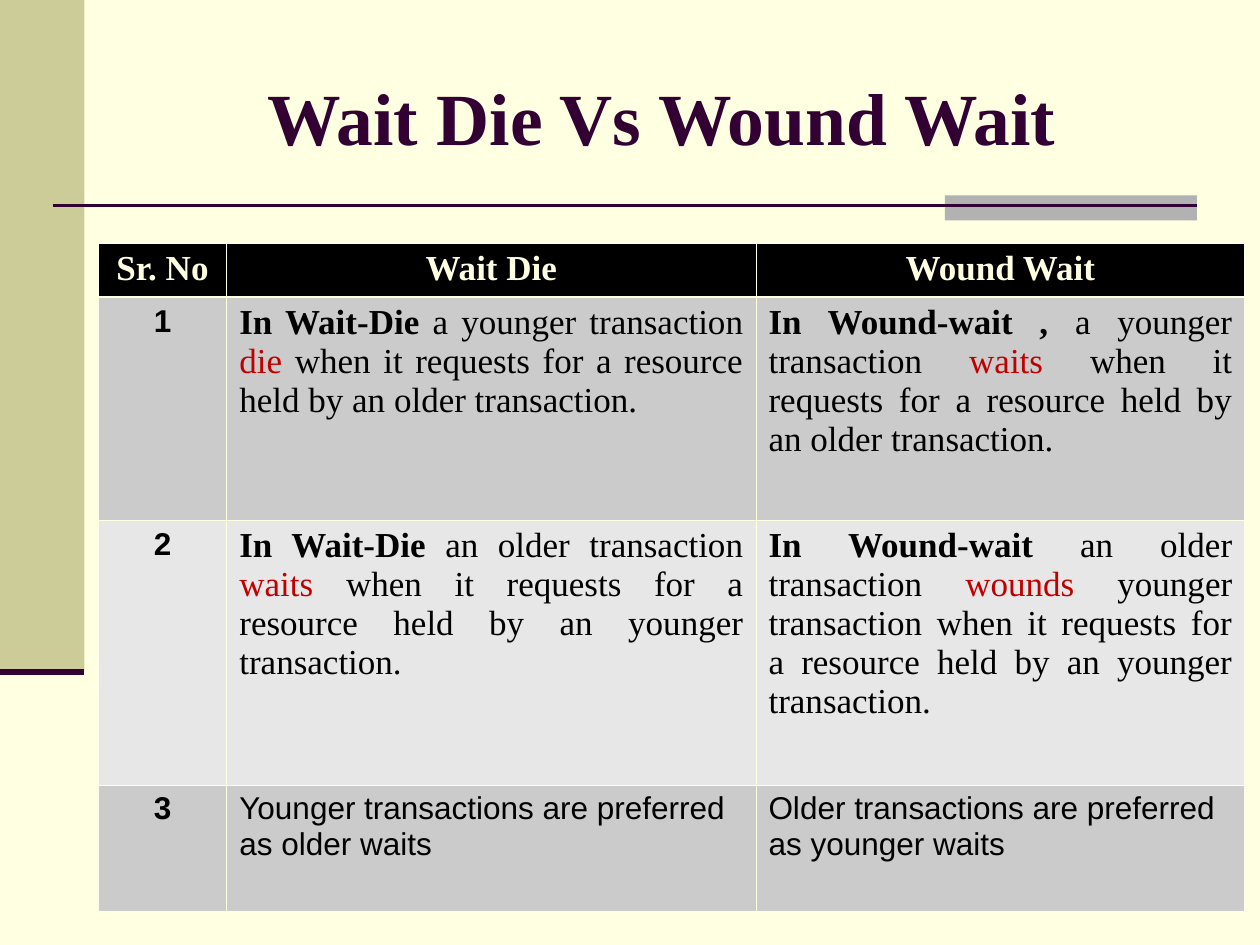
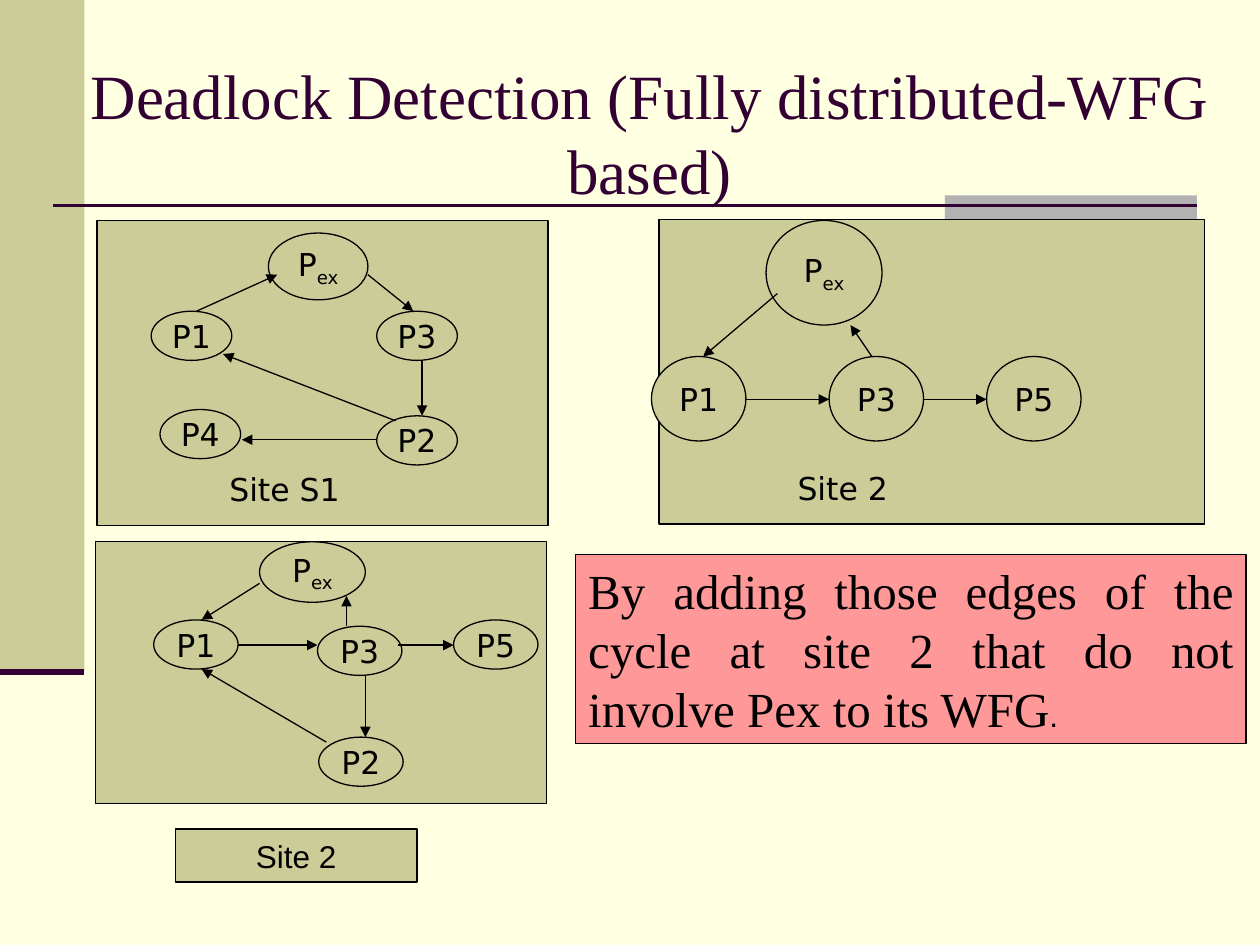
import lxml.etree
import pptx
import pptx.dml.color
import pptx.enum.shapes
import pptx.enum.text
import pptx.oxml.ns
import pptx.util

RGBColor = pptx.dml.color.RGBColor
CREAM = RGBColor(0xFF, 0xFF, 0xE1)
KHAKI = RGBColor(0xCC, 0xCC, 0x99)
SILVER = RGBColor(0xB2, 0xB2, 0xB2)
PLUM = RGBColor(0x33, 0x00, 0x33)
BLACK = RGBColor(0x00, 0x00, 0x00)
RED = RGBColor(0xC0, 0x00, 0x00)
PINK = RGBColor(0xFF, 0x99, 0x99)
DARK_ROW = RGBColor(0xCB, 0xCB, 0xCB)
LIGHT_ROW = RGBColor(0xE7, 0xE7, 0xE7)

SHAPE = pptx.enum.shapes.MSO_SHAPE
ALIGN = pptx.enum.text.PP_ALIGN
ANCHOR = pptx.enum.text.MSO_ANCHOR
qn = pptx.oxml.ns.qn

SERIF = {"name": "Times New Roman", "size": pptx.util.Pt(20), "bold": False, "color": BLACK}
SANS = {**SERIF, "name": "Arial", "size": pptx.util.Pt(18)}
NODE = {**SANS, "name": "DejaVu Sans"}
TITLE = {**SERIF, "color": PLUM}
HEADER = {**SERIF, "bold": True, "color": CREAM}
STRONG = {"bold": True}
ALERT = {"color": RED}
SUBSCRIPT = {"baseline": "-25000"}
PEX = [("P", {}), ("ex", SUBSCRIPT)]


def inches(values):
    return [pptx.util.Inches(value) for value in values]


def set_values(target, values):
    for name, value in values.items():
        setattr(target, name, value)


def set_font(font, values):
    for name, value in values.items():
        if name == "color":
            font.color.rgb = value
        elif name == "baseline":
            font._element.set(name, value)
        else:
            setattr(font, name, value)


def write(frame, spans, values, align):
    para = frame.paragraphs[0]
    para.alignment = align
    for text, changes in spans:
        span = para.add_run()
        span.text = text
        set_font(span.font, {**values, **changes})


def add_box(shapes, place, fill, kind=SHAPE.RECTANGLE, outline=BLACK):
    box = shapes.add_shape(kind, *inches(place))
    box.shadow.inherit = False
    box.fill.solid()
    box.fill.fore_color.rgb = fill
    if outline is None:
        box.line.fill.background()
    else:
        box.line.color.rgb = outline
        box.line.width = pptx.util.Pt(0.75)
    return box


def add_label_box(shapes, place, spans, values, kind=SHAPE.RECTANGLE):
    box = add_box(shapes, place, KHAKI, kind)
    set_values(box.text_frame, {"word_wrap": False, "vertical_anchor": ANCHOR.MIDDLE})
    write(box.text_frame, spans, values, ALIGN.CENTER)


def add_line(shapes, ends, color=BLACK, width=0.75, arrow=False):
    line = shapes.add_connector(pptx.enum.shapes.MSO_CONNECTOR.STRAIGHT, *inches(ends))
    line.line.color.rgb = color
    line.line.width = pptx.util.Pt(width)
    properties = line.element.spPr
    if arrow:
        lxml.etree.SubElement(properties.find(qn("a:ln")), qn("a:tailEnd"), type="triangle")
    lxml.etree.SubElement(properties, qn("a:effectLst"))
    return line


def style_master(deck, page):
    master = deck.slide_master
    master.background.fill.solid()
    master.background.fill.fore_color.rgb = CREAM
    parts = [
        add_box(page.shapes, (0, 0, 0.67, 5.33), KHAKI, outline=None),
        add_box(page.shapes, (7.5, 1.55, 2, 0.2), SILVER, outline=None),
        add_line(page.shapes, (0.42, 1.63, 9.5, 1.63), PLUM, 1.5),
        add_line(page.shapes, (0, 5.33, 0.67, 5.33), PLUM, 3.5),
    ]
    for index, part in enumerate(parts):
        part.element.xpath(".//p:cNvPr")[0].set("id", str(100 + index))
        master.shapes.element.insert(2 + index, part.element)


def set_title(page, text, place, size, bold=False):
    title = page.shapes.title
    set_values(title, dict(zip(("left", "top", "width", "height"), inches(place))))
    set_values(title.text_frame, {
        "word_wrap": True,
        "vertical_anchor": ANCHOR.MIDDLE,
        "auto_size": pptx.enum.text.MSO_AUTO_SIZE.NONE,
    })
    values = {**TITLE, "size": pptx.util.Pt(size), "bold": bold}
    write(title.text_frame, [(text, {})], values, ALIGN.CENTER)


def set_borders(cell, widths):
    properties = cell._tc.get_or_add_tcPr()
    for index, (side, width) in enumerate(widths.items()):
        border = lxml.etree.Element(qn("a:ln" + side), w=str(pptx.util.Pt(width)))
        fill = lxml.etree.SubElement(border, qn("a:solidFill"))
        lxml.etree.SubElement(fill, qn("a:srgbClr"), val=str(CREAM))
        properties.insert(index, border)


def add_comparison(page, rows):
    heights = (0.43, 1.77, 2.1, 1)
    widths = (1.02, 4.2, 3.88)
    fills = (BLACK, DARK_ROW, LIGHT_ROW, DARK_ROW)
    place = inches((0.78, 1.93, sum(widths), sum(heights)))
    table = page.shapes.add_table(len(rows), len(widths), *place).table
    for column, width in zip(table.columns, inches(widths)):
        column.width = width
    for number, (row, height) in enumerate(zip(rows, inches(heights))):
        table.rows[number].height = height
        for position, (spans, values, align) in enumerate(row):
            cell = table.cell(number, position)
            cell.fill.solid()
            cell.fill.fore_color.rgb = fills[number]
            set_borders(cell, {
                "L": 0.45, "R": 0.45,
                "T": 1.47 if number == 1 else 0.45,
                "B": 1.47 if number == 0 else 0.45,
            })
            write(cell.text_frame, spans, values, align)


def header_row(*names):
    return [([(name, {})], HEADER, ALIGN.CENTER) for name in names]


def body_row(number, texts, values, align):
    first = ([(number, STRONG)], SANS, ALIGN.CENTER)
    return [first] + [(spans, values, align) for spans in texts]


def add_site(page, panel, node_size, nodes, pex, arrows, caption=None):
    shapes = page.shapes.add_group_shape().shapes
    add_box(shapes, panel, KHAKI)
    for name, corner in nodes.items():
        add_label_box(shapes, corner + node_size, [(name, {})], NODE, SHAPE.OVAL)
    add_label_box(shapes, pex, PEX, NODE, SHAPE.OVAL)
    for ends in arrows:
        add_line(shapes, ends, arrow=True)
    if caption:
        text, place, indent = caption
        box = shapes.add_textbox(*inches(place))
        set_values(box.text_frame, {"word_wrap": True, "margin_left": pptx.util.Inches(indent)})
        write(box.text_frame, [(text, {})], NODE, ALIGN.LEFT)


def build_comparison_page(page):
    set_title(page, "Wait Die Vs Wound Wait", (1, 0.3, 8.5, 1.25), 42, True)
    add_comparison(page, [
        header_row("Sr. No", "Wait Die", "Wound Wait"),
        body_row("1", [
            [("In Wait-Die ", STRONG), ("a younger transaction ", {}), ("die ", ALERT),
             ("when it requests for a resource held by an older transaction. ", {})],
            [("In Wound-wait , ", STRONG), ("a younger transaction ", {}), ("waits", ALERT),
             (" when it requests for a resource held by an older transaction. ", {})],
        ], SERIF, ALIGN.JUSTIFY),
        body_row("2", [
            [("In Wait-Die ", STRONG), ("an older transaction ", {}), ("waits ", ALERT),
             ("when it requests for a resource held by an younger transaction. ", {})],
            [("In Wound-wait ", STRONG), ("an older transaction ", {}), ("wounds ", ALERT),
             ("younger transaction when it requests for a resource held by an younger "
              "transaction. ", {})],
        ], SERIF, ALIGN.JUSTIFY),
        body_row("3", [
            [("Younger transactions are preferred as older waits", {})],
            [("Older transactions are preferred as younger waits", {})],
        ], SANS, ALIGN.LEFT),
    ])


def build_detection_page(page):
    set_title(page, "Deadlock Detection (Fully distributed-WFG based)",
              (0.5, 0.42, 9.31, 1.25), 36)
    add_site(
        page, (0.77, 1.75, 3.58, 2.42), (0.64, 0.39),
        {"P1": (1.2, 2.47), "P2": (2.99, 3.3), "P3": (2.99, 2.47), "P4": (1.27, 3.25)},
        (2.13, 1.85, 0.79, 0.53),
        [(3.35, 2.86, 3.35, 3.3), (2.99, 3.49, 1.92, 3.49), (3.14, 3.34, 1.77, 2.81),
         (1.56, 2.47, 2.2, 2.18), (2.92, 2.18, 3.28, 2.47)],
        ("Site S1", (1.56, 3.68, 1.29, 0.4), 0.26),
    )
    add_site(
        page, (5.23, 1.74, 4.33, 2.42), (0.75, 0.67),
        {"P1": (5.17, 2.83), "P3": (6.58, 2.83), "P5": (7.83, 2.83)},
        (6.08, 1.75, 0.92, 0.83),
        [(5.92, 3.17, 6.58, 3.17), (7.33, 3.17, 7.83, 3.17),
         (6.17, 2.33, 5.58, 2.83), (6.92, 2.83, 6.75, 2.58)],
        ("Site 2", (5.83, 3.67, 1.67, 0.4), 0.5),
    )
    add_site(
        page, (0.76, 4.3, 3.58, 2.08), (0.67, 0.39),
        {"P1": (1.22, 4.92), "P2": (2.53, 5.85), "P5": (3.6, 4.92), "P3": (2.52, 4.97)},
        (2.06, 4.3, 0.84, 0.48),
        [(1.89, 5.12, 2.52, 5.12), (3.16, 5.12, 3.6, 5.12), (2.06, 4.63, 1.6, 4.92),
         (2.9, 5.36, 2.9, 5.85), (2.59, 5.89, 1.6, 5.31), (2.75, 4.97, 2.75, 4.73)],
    )
    add_label_box(page.shapes, (1.39, 6.58, 1.92, 0.42), [("Site 2", {})], SANS)
    note = add_box(page.shapes, (4.57, 4.4, 5.32, 1.5), PINK)
    set_values(note.text_frame, {"word_wrap": True, "vertical_anchor": ANCHOR.TOP})
    write(note.text_frame, [
        ("By adding those edges of the cycle at site 2 that do not involve Pex to its WFG",
         {"size": pptx.util.Pt(28)}),
        (".", SANS),
    ], SERIF, ALIGN.JUSTIFY)


def main():
    deck = pptx.Presentation()
    set_values(deck, {"slide_width": pptx.util.Inches(10), "slide_height": pptx.util.Inches(7.5)})
    layout = deck.slide_layouts.get_by_name("Title Only")
    comparison, detection = [deck.slides.add_slide(layout) for _ in range(2)]
    style_master(deck, comparison)
    build_comparison_page(comparison)
    build_detection_page(detection)
    deck.save("out.pptx")


if __name__ == "__main__":
    main()
